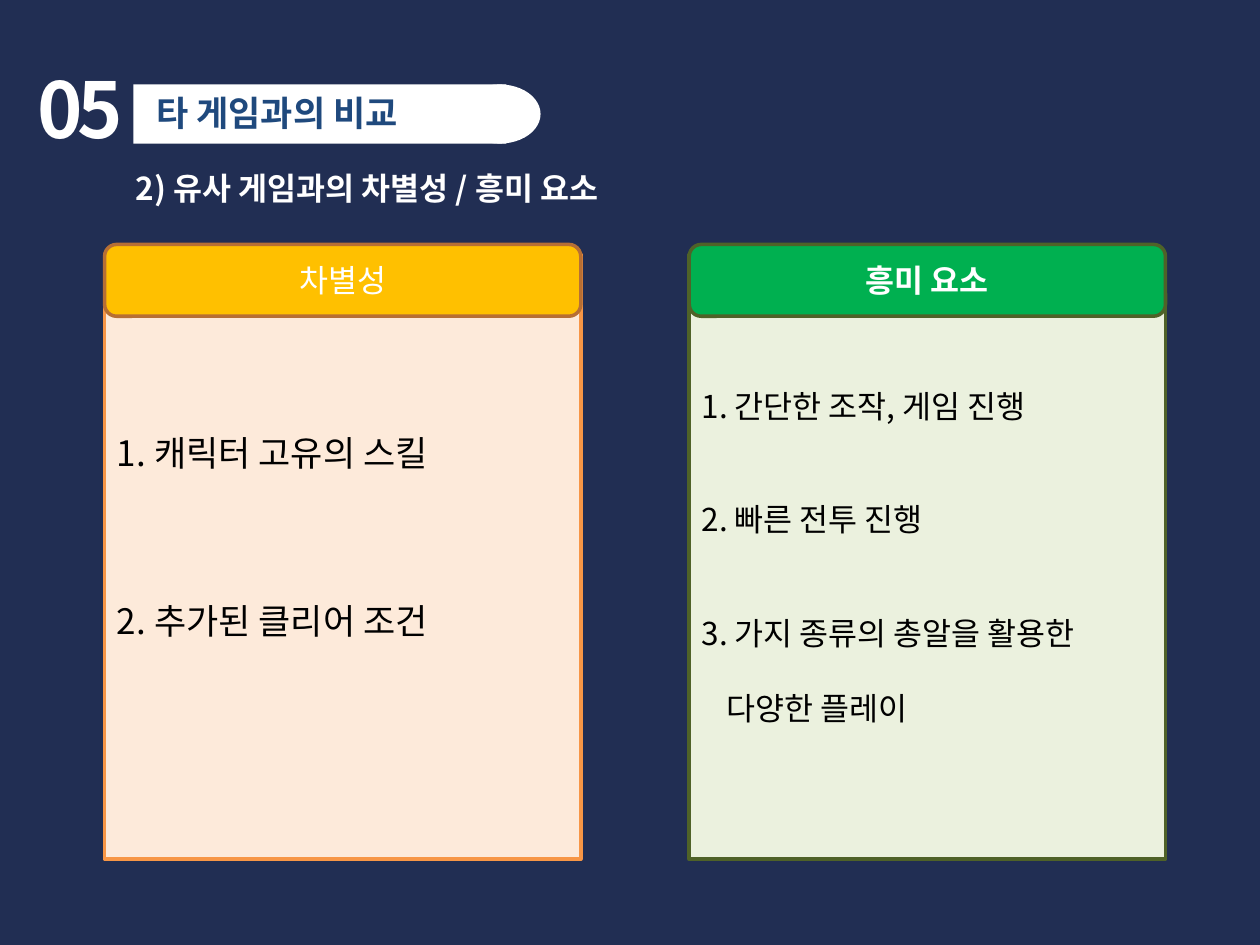
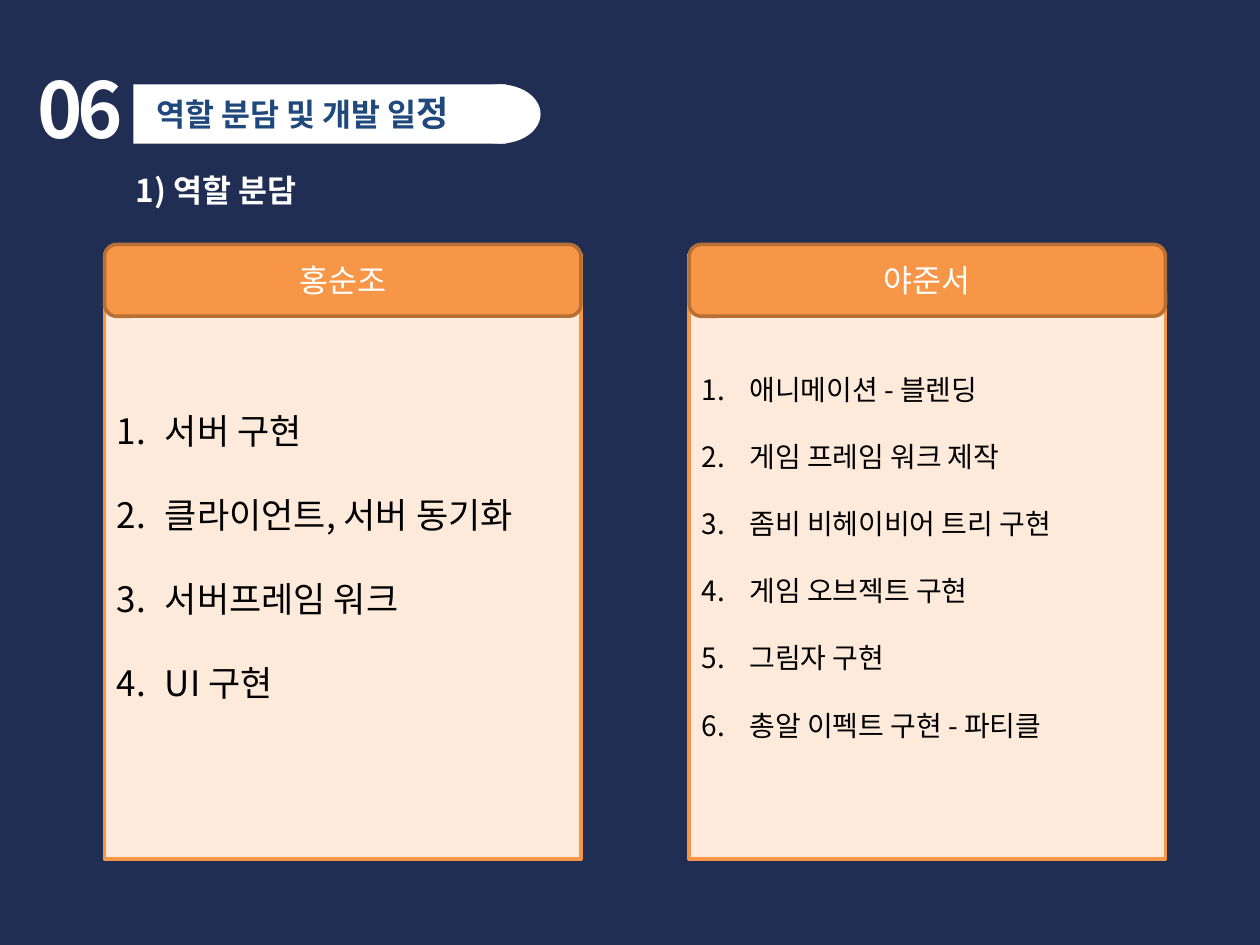
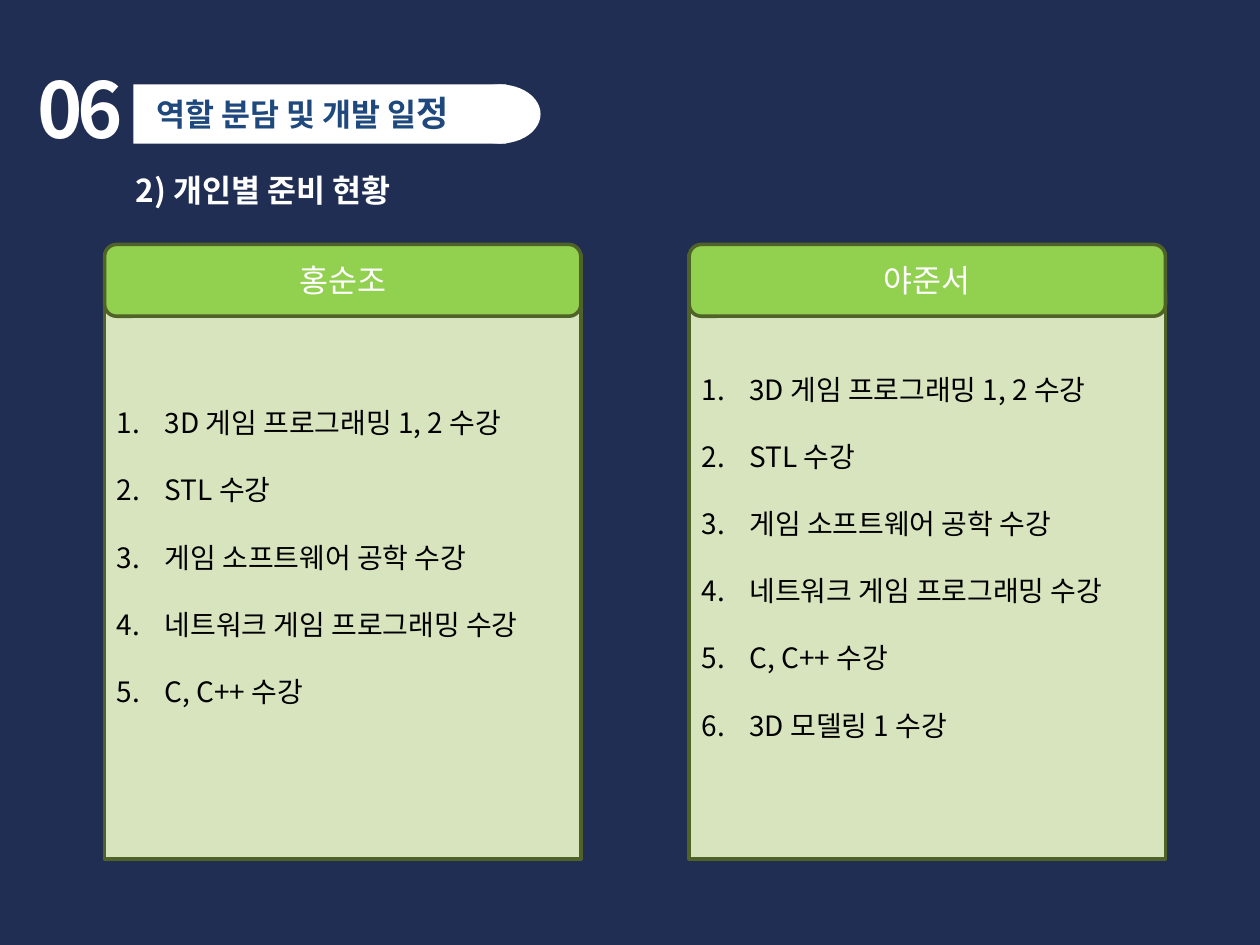
from dataclasses import dataclass

from lxml.etree import SubElement
from pptx import Presentation
from pptx.dml.color import RGBColor
from pptx.enum.shapes import MSO_SHAPE
from pptx.enum.text import MSO_ANCHOR, MSO_AUTO_SIZE, PP_ALIGN
from pptx.oxml.ns import qn
from pptx.util import Inches, Pt


@dataclass(frozen=True)
class Theme:
    font: str = "Noto Sans CJK KR"
    background: str = "212E53"
    white: str = "FFFFFF"
    black: str = "000000"
    title: str = "1F497D"
    orange: str = "F79646"
    dark_orange: str = "B76F34"
    peach: str = "FDEADA"
    amber: str = "FFC000"
    green: str = "00B050"
    dark_green: str = "4F6228"
    pale_green: str = "EBF1DE"
    lime: str = "92D050"
    soft_green: str = "D7E4BD"
    number_size: int = 44
    title_size: int = 20
    text_size: int = 18
    line_height: float = 1.2
    outline: int = 2


THEME = Theme()


@dataclass(frozen=True)
class PanelStyle:
    header_fill: str
    header_line: str
    body_fill: str
    body_line: str


AMBER = PanelStyle(THEME.amber, THEME.dark_orange, THEME.peach, THEME.orange)
GREEN = PanelStyle(THEME.green, THEME.dark_green, THEME.pale_green, THEME.dark_green)
ORANGE = PanelStyle(THEME.orange, THEME.dark_orange, THEME.peach, THEME.orange)
LIME = PanelStyle(THEME.lime, THEME.dark_green, THEME.soft_green, THEME.dark_green)


@dataclass(frozen=True)
class Item:
    text: str
    gap: int = 1  # empty lines above
    indent: float = 0


@dataclass(frozen=True)
class Panel:
    heading: str
    items: list[Item]
    style: PanelStyle
    size: int
    numbered: bool = True
    bold_heading: bool = False
    bottom_inset: float = 0.05


@dataclass(frozen=True)
class Page:
    number: str
    title: list[tuple[str, int]]
    subtitle: str
    subtitle_top: float
    subtitle_width: float
    panels: list[Panel]


def items(*texts: str) -> list[Item]:
    return [Item(text) for text in texts]


ROLE_TITLE = [("역할 분담 및 개발 일", THEME.text_size), ("정", THEME.title_size)]
COURSES = items("3D 게임 프로그래밍 1, 2 수강", "STL 수강", "게임 소프트웨어 공학 수강",
                "네트워크 게임 프로그래밍 수강", "C, C++ 수강")

PAGES = [
    Page("05", [("타 게임과의 비교", THEME.title_size)],
         "2) 유사 게임과의 차별성 / 흥미 요소", 1.29, 4.38, [
        Panel("차별성", [Item("1. 캐릭터 고유의 스킬"), Item("2. 추가된 클리어 조건", 3)],
              AMBER, 20, numbered=False, bottom_inset=0.38),
        Panel("흥미 요소", [Item("1. 간단한 조작, 게임 진행"), Item("2. 빠른 전투 진행", 2),
                        Item("3. 가지 종류의 총알을 활용한", 2),
                        Item("다양한 플레이", 1, 0.2)],
              GREEN, 18, numbered=False, bold_heading=True),
    ]),
    Page("06", ROLE_TITLE, "1) 역할 분담", 1.31, 1.63, [
        Panel("홍순조", items("서버 구현", "클라이언트, 서버 동기화", "서버프레임 워크", "UI 구현"),
              ORANGE, 20),
        Panel("야준서", items("애니메이션\u00a0- 블렌딩".replace("\u00a0", " "), "게임 프레임 워크 제작",
                           "좀비 비헤이비어 트리 구현", "게임 오브젝트 구현", "그림자 구현",
                           "총알 이펙트 구현 - 파티클"), ORANGE, 16),
    ]),
    Page("06", ROLE_TITLE, "2) 개인별 준비 현황", 1.31, 2.56, [
        Panel("홍순조", COURSES, LIME, 16),
        Panel("야준서", COURSES + items("3D 모델링 1 수강"), LIME, 16),
    ]),
]

PANEL_LEFT, PANEL_STEP, PANEL_WIDTH = 0.83, 4.64, 3.78
NUMBER_INDENT = 0.38


def style_paragraph(p, size: int, color: str, bold: bool = False):
    """Set font and line height; return the paragraph's character properties."""
    p.line_spacing = Pt(size * THEME.line_height)
    p.font.size, p.font.bold = Pt(size), bold
    p.font.color.rgb = RGBColor.from_string(color)
    p.font.name = THEME.font
    props = p._p.pPr.find(qn("a:defRPr"))
    SubElement(props, qn("a:ea"), typeface=THEME.font)
    return props


def add_box(shapes, kind: MSO_SHAPE, left: float, top: float, width: float,
            height: float, fill: str, line: str | None = None):
    sp = shapes.add_shape(kind, Inches(left), Inches(top), Inches(width), Inches(height))
    sp.shadow.inherit = False
    sp.fill.solid()
    sp.fill.fore_color.rgb = RGBColor.from_string(fill)
    if line:
        sp.line.color.rgb = RGBColor.from_string(line)
        sp.line.width = Pt(THEME.outline)
    else:
        sp.line.fill.background()
    return sp


def add_label(s, left: float, top: float, width: float, height: float,
              runs: list[tuple[str, int]], color: str):
    """Add a bold text box of (text, size) runs; return its character properties."""
    tf = s.shapes.add_textbox(Inches(left), Inches(top), Inches(width), Inches(height)).text_frame
    tf.word_wrap = True
    tf.auto_size = MSO_AUTO_SIZE.SHAPE_TO_FIT_TEXT
    p = tf.paragraphs[0]
    for text, size in runs:
        r = p.add_run()
        r.text = text
        if len(runs) > 1:
            r.font.size = Pt(size)
    return style_paragraph(p, max(size for _, size in runs), color, bold=True)


def add_header(s, page: Page) -> None:
    number = add_label(s, 0.2, 0.44, 1.1, 0.84, [(page.number, THEME.number_size)], THEME.white)
    number.set("spc", "-300")
    band = s.shapes.add_group_shape()
    add_box(band.shapes, MSO_SHAPE.RECTANGLE, 1.06, 0.67, 2.96, 0.47, THEME.white)
    add_box(band.shapes, MSO_SHAPE.OVAL, 3.64, 0.67, 0.65, 0.47, THEME.white)
    add_label(s, 1.14, 0.68, 2.92, 0.44, page.title, THEME.title)
    add_label(s, 0.98, page.subtitle_top, page.subtitle_width, 0.4,
              [(page.subtitle, THEME.text_size)], THEME.white)


def add_panel(s, panel: Panel, left: float) -> None:
    style = panel.style
    body = add_box(s.shapes, MSO_SHAPE.RECTANGLE, left, 2.02, PANEL_WIDTH, 4.8,
                   style.body_fill, style.body_line)
    tf = body.text_frame
    tf.word_wrap = True
    tf.vertical_anchor = MSO_ANCHOR.MIDDLE
    tf.margin_bottom = Inches(panel.bottom_inset)
    for i, item in enumerate(panel.items):
        p = tf.add_paragraph() if i else tf.paragraphs[0]
        p.text = item.text
        p.alignment = PP_ALIGN.LEFT
        if i:
            p.space_before = Pt(item.gap * panel.size * THEME.line_height)
        props = style_paragraph(p, panel.size, THEME.black)
        indent = NUMBER_INDENT if panel.numbered else item.indent
        p._p.pPr.set("marL", str(Inches(indent)))
        if panel.numbered:
            p._p.pPr.set("indent", str(-Inches(indent)))
            bullet = SubElement(p._p.pPr, qn("a:buAutoNum"), type="arabicPeriod")
            props.addprevious(bullet)

    header = add_box(s.shapes, MSO_SHAPE.ROUNDED_RECTANGLE, left, 1.94, PANEL_WIDTH, 0.57,
                     style.header_fill, style.header_line)
    header.text_frame.vertical_anchor = MSO_ANCHOR.MIDDLE
    p = header.text_frame.paragraphs[0]
    p.text = panel.heading
    p.alignment = PP_ALIGN.CENTER
    style_paragraph(p, THEME.text_size, THEME.white, panel.bold_heading)


def main() -> None:
    prs = Presentation()
    prs.slide_width, prs.slide_height = Inches(10), Inches(7.5)
    for page in PAGES:
        s = prs.slides.add_slide(prs.slide_layouts[6])
        s.background.fill.solid()
        s.background.fill.fore_color.rgb = RGBColor.from_string(THEME.background)
        add_header(s, page)
        for i, panel in enumerate(page.panels):
            add_panel(s, panel, PANEL_LEFT + i * PANEL_STEP)
    prs.save("out.pptx")


if __name__ == "__main__":
    main()
